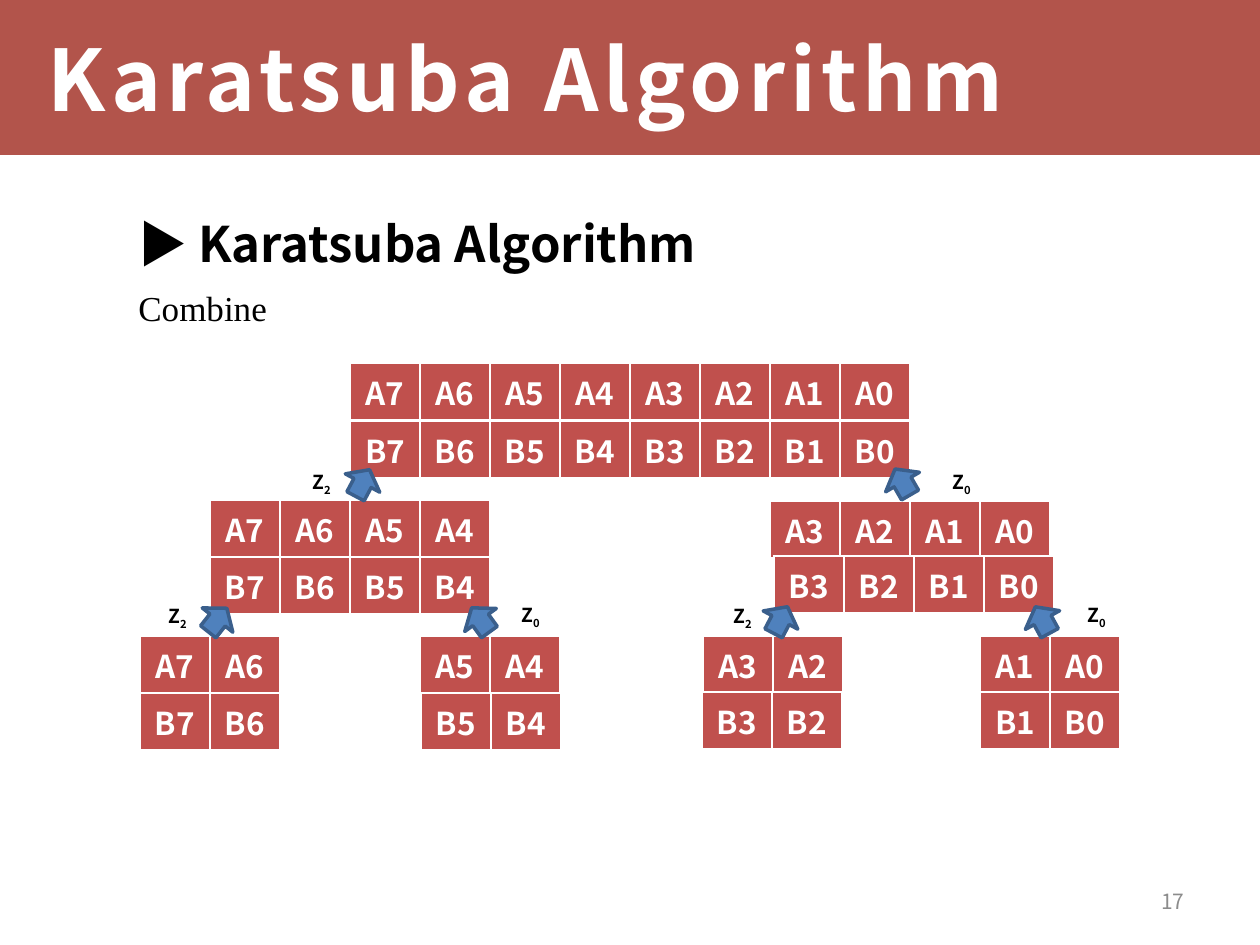
"""Builds the Karatsuba combine slide."""
from lxml.etree import SubElement as Sub
from pptx import Presentation as Deck
from pptx.dml.color import RGBColor as Color
from pptx.enum.shapes import MSO_SHAPE as Shape
from pptx.enum.text import MSO_ANCHOR as Anchor, PP_ALIGN as Align
from pptx.oxml.ns import qn
from pptx.util import Pt

PX = 914400 / 126
HUES = {"band": "9B1F13", "cell": "C0504D", "arrow": "4F81BD", "edge": "3A5F8C",
        "white": "FFFFFF", "black": "000000", "gray": "8C8C8C"}
SANS, SERIF = "Noto Sans CJK KR", "Times New Roman"
CELL, ROW = 70, 52


def px(*vals):
    return [round(val * PX) for val in vals]


def apply(item, vals):
    for name, val in vals.items():
        setattr(item, name, val)


class Page:
    def __init__(self, slide):
        self.slide = slide
        self.shapes = slide.shapes
        self.hues = {name: Color.from_string(hue) for name, hue in HUES.items()}

    def words(self, para, text, size, hue="black", face=SANS, bold=True, **extra):
        run = para.add_run()
        run.text = text
        apply(run.font, {"size": Pt(size), "bold": bold, "name": face})
        run.font.color.rgb = self.hues[hue]
        props = run._r.get_or_add_rPr()
        Sub(props, qn("a:ea"), typeface=face)
        for name, val in extra.items():
            props.set(name, str(val))

    def paint(self, shape, fill, edge=None):
        shape.shadow.inherit = False
        shape.fill.solid()
        shape.fill.fore_color.rgb = self.hues[fill]
        if edge:
            shape.line.color.rgb = self.hues[edge]
            shape.line.width = Pt(2)
        else:
            shape.line.fill.background()

    def band(self, *box):
        shape = self.shapes.add_shape(Shape.RECTANGLE, *px(*box))
        self.paint(shape, "band")
        hue = shape._element.spPr.find(".//" + qn("a:srgbClr"))
        Sub(hue, qn("a:alpha"), val="76000")

    def title(self, text, *box):
        shape = self.shapes.title
        apply(shape, dict(zip(("left", "top", "width", "height"), px(*box))))
        apply(shape.text_frame, {"vertical_anchor": Anchor.MIDDLE, "word_wrap": True})
        para = shape.text_frame.paragraphs[0]
        para.alignment = Align.LEFT
        self.words(para, text, 48.5, "white", spc=300)
        self.shapes._spTree.append(shape._element)

    def frame(self, *box, anchor=Anchor.TOP):
        frame = self.shapes.add_textbox(*px(*box)).text_frame
        apply(frame, {"word_wrap": True, "vertical_anchor": anchor})
        return frame

    def body(self, head, note, *box):
        frame = self.frame(*box)
        first, last = frame.paragraphs[0], frame.add_paragraph()
        for para in (first, last):
            para.alignment = Align.JUSTIFY
            para._p.get_or_add_pPr().set("marL", str(px(63)[0]))
        last.space_before = Pt(8)
        self.words(first, head, 28)
        self.words(last, note, 20, face=SERIF, bold=False)

    def number(self, text, *box):
        para = self.frame(*box, anchor=Anchor.MIDDLE).paragraphs[0]
        para.alignment = Align.RIGHT
        self.words(para, text, 12, "gray", bold=False)

    def border(self, cell):
        props = cell._tc.get_or_add_tcPr()
        for side, width in zip("LRTB", (1, 1, 1, 3)):
            line = Sub(props, qn("a:ln" + side), w=str(int(Pt(width))))
            fill = Sub(line, qn("a:solidFill"))
            Sub(fill, qn("a:srgbClr"), val=HUES["white"])

    def digits(self, x, y, mark, high, count):
        box = px(x, y, CELL * count, ROW)
        table = self.shapes.add_table(1, count, *box).table
        for step, cell in enumerate(table.iter_cells()):
            table.columns[step].width = px(CELL)[0]
            self.border(cell)
            cell.fill.solid()
            cell.fill.fore_color.rgb = self.hues["cell"]
            para = cell.text_frame.paragraphs[0]
            para.alignment = Align.CENTER
            self.words(para, f"{mark}{high - step}", 18, "white")

    def arrow(self, x, y, turn):
        shape = self.shapes.add_shape(Shape.DOWN_ARROW, *px(x, y, 39, 30))
        shape.rotation = turn
        self.paint(shape, "arrow", "edge")

    def label(self, x, y, sub):
        para = self.frame(x, y, 62, 37).paragraphs[0]
        self.words(para, "Z", 11)
        self.words(para, sub, 11, baseline=-25000)


def main():
    deck = Deck()
    deck.slide_width, deck.slide_height = px(1260, 945)
    page = Page(deck.slides.add_slide(deck.slide_layouts[5]))
    page.band(0, 0, 1260, 155)
    page.body("▶ Karatsuba Algorithm", "Combine", 63, 207, 1134, 624)
    page.number("17", 903, 876, 294, 50)
    page.title("Karatsuba Algorithm", 35, 0, 1191, 155)

    blocks = [(7, 8, (350, 363), (350, 421)),
              (7, 4, (210, 500), (210, 557)), (3, 4, (770, 501), (774, 556)),
              (7, 2, (140, 636), (140, 693)), (5, 2, (420, 636), (421, 693)),
              (3, 2, (703, 636), (702, 692)), (1, 2, (980, 636), (980, 692))]
    for high, count, *spots in blocks:
        for mark, spot in zip("AB", spots):
            page.digits(*spot, mark, high, count)

    for spot in [(343, 468, 208), (883, 467, 150), (198, 605, 218.4),
                 (1023, 605, 151.5), (761, 605, 207.7), (461, 605, 143.9)]:
        page.arrow(*spot)
    for spot in [(156, 598, "2"), (509, 597, "0"), (721, 598, "2"),
                 (1075, 597, "0"), (300, 464, "2"), (940, 464, "0")]:
        page.label(*spot)
    deck.save("out.pptx")


if __name__ == "__main__":
    main()
